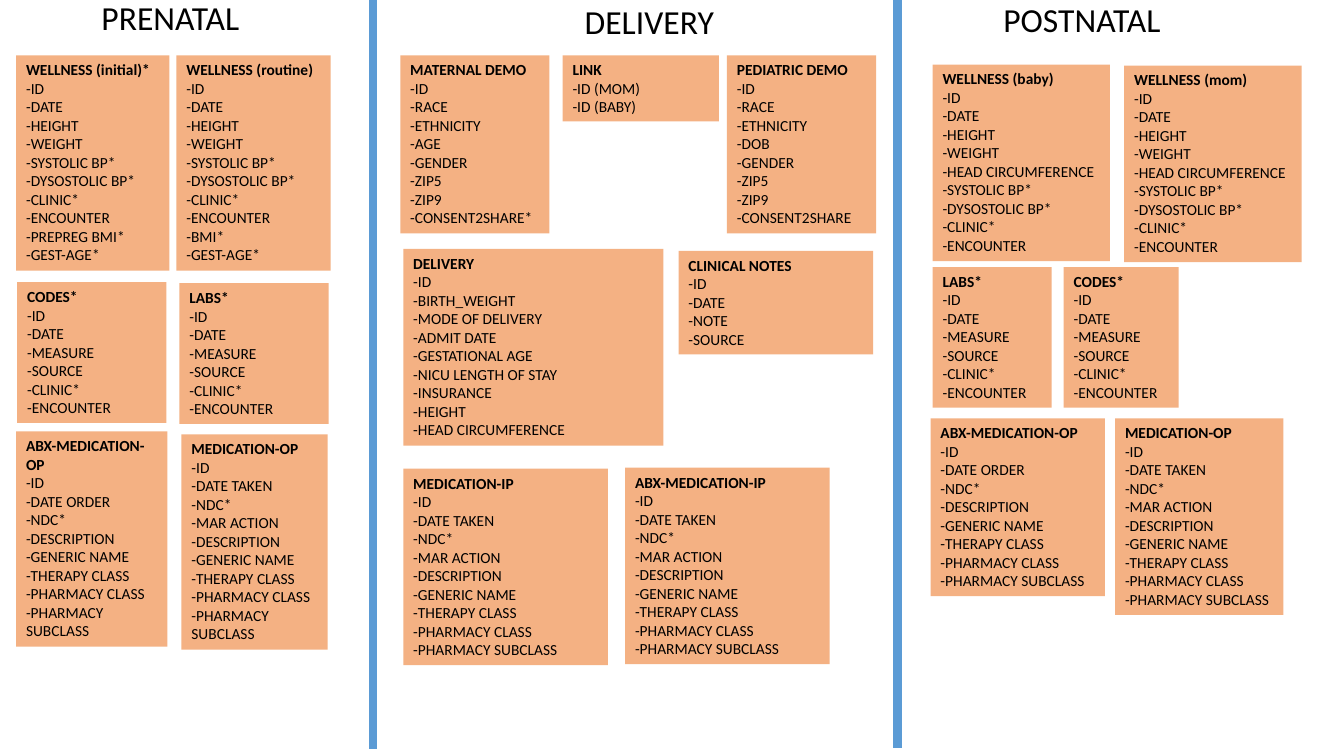
"""Build the slide of prenatal, delivery and postnatal data tables."""
import pptx
import pptx.util
import pptx.dml.color
import pptx.enum.shapes
import pptx.enum.text
import pptx.oxml
import pptx.oxml.ns

Inches, Pt = pptx.util.Inches, pptx.util.Pt
RGB = pptx.dml.color.RGBColor.from_string

THEME = {"font": "Calibri", "text": "000000", "card": "F4B183", "divider": "5B9BD5",
         "phase_size": 24, "card_size": 11, "divider_width": 6}
PHASE_WIDTH, PHASE_HEIGHT = 4.72, 0.5
LINE_HEIGHT, CARD_PADDING = 0.185, 0.1

VITALS = ["ID", "DATE", "HEIGHT", "WEIGHT"]
PRESSURE = ["SYSTOLIC BP*", "DYSOSTOLIC BP*", "CLINIC*", "ENCOUNTER"]
POSTNATAL_VISIT = VITALS + ["HEAD CIRCUMFERENCE"] + PRESSURE
RESULTS = ["ID", "DATE", "MEASURE", "SOURCE", "CLINIC*", "ENCOUNTER"]
DRUG = ["DESCRIPTION", "GENERIC NAME", "THERAPY CLASS", "PHARMACY CLASS", "PHARMACY SUBCLASS"]
ORDERED = ["ID", "DATE ORDER", "NDC*"] + DRUG
TAKEN = ["ID", "DATE TAKEN", "NDC*", "MAR ACTION"] + DRUG


def person(age, consent):
    return ["ID", "RACE", "ETHNICITY", age, "GENDER", "ZIP5", "ZIP9", consent]


PHASES = [
    ("PRENATAL", -0.67, -0.08, [
        ("WELLNESS (initial)*", 0.16, 0.55, 1.52, VITALS + PRESSURE + ["PREPREG BMI*", "GEST-AGE*"], 0),
        ("WELLNESS (routine)", 1.75, 0.55, 1.53, VITALS + PRESSURE + ["BMI*", "GEST-AGE*"], 0),
        ("CODES*", 0.17, 2.8, 1.48, RESULTS, 0),
        ("LABS*", 1.78, 2.81, 1.48, RESULTS, 0),
        ("ABX-MEDICATION-OP", 0.16, 4.28, 1.5, ORDERED, 2),
        ("MEDICATION-OP", 1.8, 4.31, 1.45, TAKEN, 1),
    ]),
    ("DELIVERY", 4.08, -0.04, [
        ("MATERNAL DEMO", 3.97, 0.55, 1.48, person("AGE", "CONSENT2SHARE*"), 0),
        ("LINK", 5.58, 0.55, 1.55, ["ID (MOM)", "ID (BABY)"], 0),
        ("PEDIATRIC DEMO", 7.21, 0.55, 1.48, person("DOB", "CONSENT2SHARE"), 0),
        ("DELIVERY", 4, 2.47, 2.58,
         ["ID", "BIRTH_WEIGHT", "MODE OF DELIVERY", "ADMIT DATE", "GESTATIONAL AGE",
          "NICU LENGTH OF STAY", "INSURANCE", "HEIGHT", "HEAD CIRCUMFERENCE"], 0),
        ("CLINICAL NOTES", 6.73, 2.49, 1.93, ["ID", "DATE", "NOTE", "SOURCE"], 0),
        ("MEDICATION-IP", 4, 4.65, 2.03, TAKEN, 0),
        ("ABX-MEDICATION-IP", 6.2, 4.64, 2.03, TAKEN, 0),
    ]),
    ("POSTNATAL", 8.37, -0.06, [
        ("WELLNESS (baby)", 9.25, 0.64, 1.76, POSTNATAL_VISIT, 0),
        ("WELLNESS (mom)", 11.15, 0.65, 1.76, POSTNATAL_VISIT, 0),
        ("LABS*", 9.25, 2.65, 1.18, RESULTS, 0),
        ("CODES*", 10.55, 2.65, 1.14, RESULTS, 0),
        ("ABX-MEDICATION-OP", 9.23, 4.15, 1.73, ORDERED, 0),
        ("MEDICATION-OP", 11.06, 4.15, 1.67, TAKEN, 0),
    ]),
]
DIVIDERS = [(3.7, 0, 7.43), (8.9, -0.01, 7.42)]


def write(frame, text, size, align):
    frame.text = text
    frame.word_wrap = True
    frame.auto_size = pptx.enum.text.MSO_AUTO_SIZE.SHAPE_TO_FIT_TEXT
    frame.vertical_anchor = pptx.enum.text.MSO_ANCHOR.TOP
    for paragraph in frame.paragraphs:
        paragraph.alignment = align
        for run in paragraph.runs:
            run.font.name = THEME["font"]
            run.font.size = Pt(size)
            run.font.color.rgb = RGB(THEME["text"])


def add_phase(slide, phase, left, top):
    heading = slide.shapes.add_textbox(Inches(left), Inches(top),
                                       Inches(PHASE_WIDTH), Inches(PHASE_HEIGHT))
    write(heading.text_frame, phase, THEME["phase_size"], pptx.enum.text.PP_ALIGN.CENTER)


def add_card(slide, table, left, top, width, fields, wrapped_lines):
    height = (1 + len(fields) + wrapped_lines) * LINE_HEIGHT + CARD_PADDING
    card = slide.shapes.add_shape(pptx.enum.shapes.MSO_SHAPE.RECTANGLE,
                                  Inches(left), Inches(top), Inches(width), Inches(height))
    card.shadow.inherit = False
    card.fill.solid()
    card.fill.fore_color.rgb = RGB(THEME["card"])
    card.line.fill.background()
    lines = [table] + ["-" + field for field in fields]
    write(card.text_frame, "\n".join(lines), THEME["card_size"], pptx.enum.text.PP_ALIGN.LEFT)
    card.text_frame.paragraphs[0].runs[0].font.bold = True


def add_divider(slide, x, top, bottom):
    divider = slide.shapes.add_connector(pptx.enum.shapes.MSO_CONNECTOR.STRAIGHT,
                                         Inches(x), Inches(top), Inches(x), Inches(bottom))
    divider.line.color.rgb = RGB(THEME["divider"])
    divider.line.width = Pt(THEME["divider_width"])
    properties = divider._element.spPr
    properties.append(properties.makeelement(pptx.oxml.ns.qn("a:effectLst"), {}))


deck = pptx.Presentation()
deck.slide_width, deck.slide_height = Inches(13.33), Inches(7.5)
slide = deck.slides.add_slide(deck.slide_layouts[6])
for phase, left, top, cards in PHASES:
    add_phase(slide, phase, left, top)
    for card in cards:
        add_card(slide, *card)
for divider in DIVIDERS:
    add_divider(slide, *divider)
deck.save("out.pptx")
